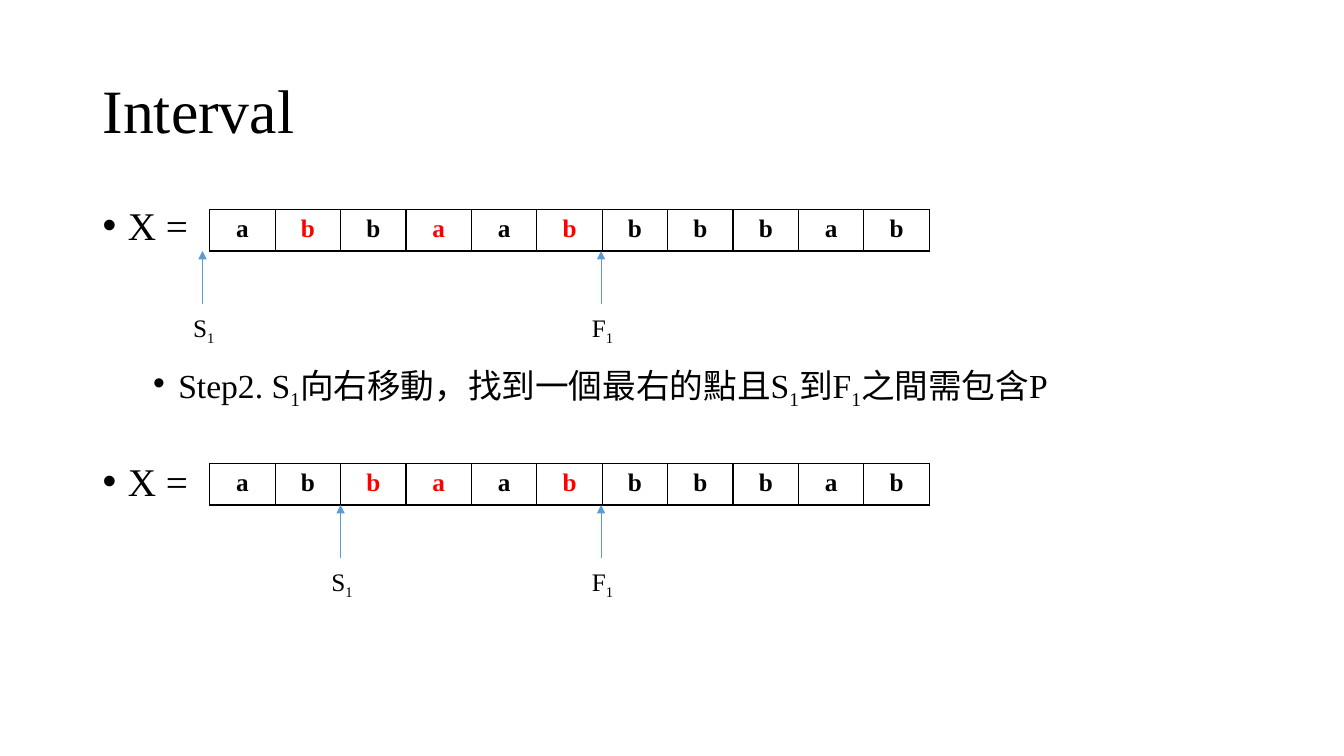
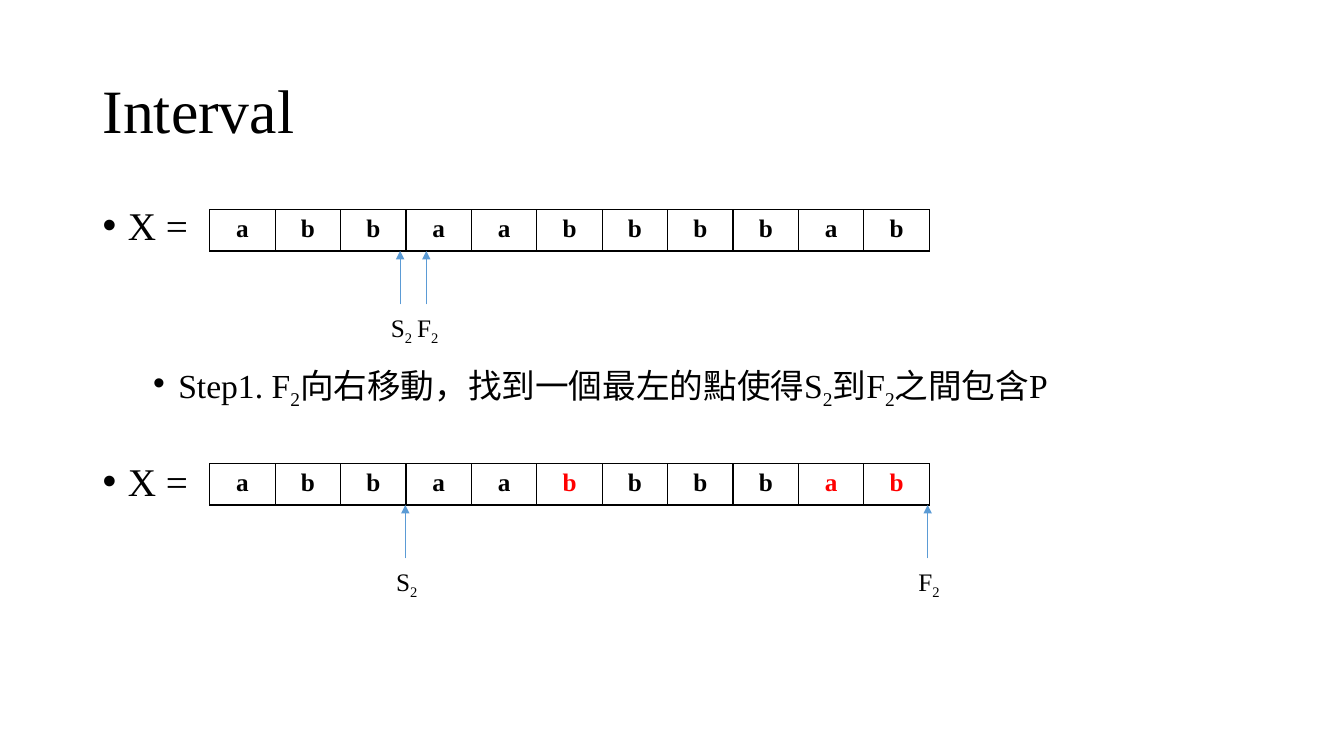
from dataclasses import dataclass

from lxml.etree import SubElement
from pptx import Presentation
from pptx.dml.color import RGBColor as Color
from pptx.enum.shapes import MSO_CONNECTOR as Connector
from pptx.enum.text import MSO_ANCHOR as Anchor, PP_ALIGN as Align
from pptx.oxml.ns import qn
from pptx.util import Inches, Pt


@dataclass(frozen=True)
class Theme:
    font: str = "Times New Roman"
    ink: str = "000000"
    highlight: str = "FF0000"
    arrow: str = "5B9BD5"
    title_size: int = 44
    body_size: int = 28
    step_size: int = 24
    label_size: int = 18
    border_width: float = 1
    arrow_width: float = 0.5
    line_spacing: float = 0.9


@dataclass(frozen=True)
class Box:
    left: float
    top: float
    width: float
    height: float

    @property
    def bottom(self):
        return self.top + self.height

    def lengths(self):
        return [Inches(value) for value in (self.left, self.top, self.width, self.height)]


THEME = Theme()
TITLE_BOX = Box(0.92, 0.4, 11.5, 1.45)
BODY_BOX = Box(0.92, 2, 11.5, 4.76)
BEFORE_BOX = Box(2.08, 2.08, 7.14, 0.41)
AFTER_BOX = Box(2.08, 4.6, 7.14, 0.41)
SEQUENCE = "abbaabbbbab"

SLIDES = [
    {
        "index": "1",
        "step": ("Step2. S", "1", "向右移動，找到一個最右的點且S", "1", "到F", "1", "之間需包含P"),
        "before": {"matched": {1, 3, 5}, "markers": {"S": -0.11, "F": 5.98}},
        "after": {"matched": {2, 3, 5}, "markers": {"S": 2, "F": 5.98}},
    },
    {
        "index": "2",
        "step": ("Step1. F", "2", "向右移動，找到一個最左的點使得S", "2", "到F", "2", "之間包含P"),
        "before": {"matched": set(), "markers": {"S": 2.91, "F": 3.31}},
        "after": {"matched": {5, 9, 10}, "markers": {"S": 2.99, "F": 10.97}},
    },
]


def add_run(paragraph, text, size, color=THEME.ink, bold=False, subscript=False):
    run = paragraph.add_run()
    run.text = text
    run.font.name = THEME.font
    run.font.size = Pt(size)
    run.font.bold = bold
    run.font.color.rgb = Color.from_string(color)
    if subscript:
        run._r.get_or_add_rPr().set("baseline", "-25000")


def add_indexed_runs(paragraph, parts, size):
    for position, text in enumerate(parts):
        add_run(paragraph, text, size, subscript=position % 2 == 1)


def add_text_frame(slide, box, anchor=Anchor.TOP):
    frame = slide.shapes.add_textbox(*box.lengths()).text_frame
    frame.word_wrap = True
    frame.vertical_anchor = anchor
    return frame


def add_title(slide, box, text):
    paragraph = add_text_frame(slide, box, Anchor.MIDDLE).paragraphs[0]
    paragraph.line_spacing = THEME.line_spacing
    add_run(paragraph, text, THEME.title_size)


def format_bullet(paragraph, indent, space_before):
    properties = paragraph._p.get_or_add_pPr()
    properties.set("marL", str(Inches(indent)))
    properties.set("indent", str(-Inches(0.25)))
    SubElement(properties, qn("a:buFont")).set("typeface", "Arial")
    SubElement(properties, qn("a:buChar")).set("char", "•")
    paragraph.line_spacing = THEME.line_spacing
    paragraph.space_before = Pt(space_before)


def add_body(slide, box, step):
    frame = add_text_frame(slide, box)
    bullets = [
        (("X =",), THEME.body_size, 0.25, 0),
        (step, THEME.step_size, 0.75, 83),
        (("X =",), THEME.body_size, 0.25, 40),
    ]
    for position, (parts, size, indent, space_before) in enumerate(bullets):
        paragraph = frame.add_paragraph() if position else frame.paragraphs[0]
        format_bullet(paragraph, indent, space_before)
        add_indexed_runs(paragraph, parts, size)


def add_borders(cell):
    properties = cell._tc.get_or_add_tcPr()
    for side in ("lnL", "lnR", "lnT", "lnB"):
        border = SubElement(properties, qn(f"a:{side}"), w=str(Pt(THEME.border_width)))
        fill = SubElement(border, qn("a:solidFill"))
        SubElement(fill, qn("a:srgbClr"), val=THEME.ink)


def add_sequence(slide, box, matched):
    table = slide.shapes.add_table(1, len(SEQUENCE), *box.lengths()).table
    table.first_row = table.horz_banding = False
    for position, letter in enumerate(SEQUENCE):
        table.columns[position].width = Inches(box.width / len(SEQUENCE))
        cell = table.cell(0, position)
        add_borders(cell)
        cell.fill.background()
        paragraph = cell.text_frame.paragraphs[0]
        paragraph.alignment = Align.CENTER
        color = THEME.highlight if position in matched else THEME.ink
        add_run(paragraph, letter, THEME.label_size, color, bold=True)


def add_marker(slide, box, offset, name, index):
    x = box.left + offset * box.width / len(SEQUENCE)
    arrow = slide.shapes.add_connector(
        Connector.STRAIGHT, Inches(x), Inches(box.bottom + 0.53), Inches(x), Inches(box.bottom)
    )
    arrow.line.color.rgb = Color.from_string(THEME.arrow)
    arrow.line.width = Pt(THEME.arrow_width)
    SubElement(arrow.line._get_or_add_ln(), qn("a:tailEnd"), type="triangle")
    SubElement(arrow._element.spPr, qn("a:effectLst"))
    label_box = Box(x - 0.19, box.bottom + 0.56, 0.67, 0.4)
    paragraph = add_text_frame(slide, label_box).paragraphs[0]
    add_indexed_runs(paragraph, (name, index), THEME.label_size)


def add_interval(slide, box, interval, index):
    add_sequence(slide, box, interval["matched"])
    for name, offset in interval["markers"].items():
        add_marker(slide, box, offset, name, index)


def add_interval_slide(presentation, content):
    slide = presentation.slides.add_slide(presentation.slide_layouts[6])
    add_title(slide, TITLE_BOX, "Interval")
    add_body(slide, BODY_BOX, content["step"])
    add_interval(slide, BEFORE_BOX, content["before"], content["index"])
    add_interval(slide, AFTER_BOX, content["after"], content["index"])


def main():
    presentation = Presentation()
    presentation.slide_width = Inches(13.33)
    presentation.slide_height = Inches(7.5)
    for content in SLIDES:
        add_interval_slide(presentation, content)
    presentation.save("out.pptx")


if __name__ == "__main__":
    main()
